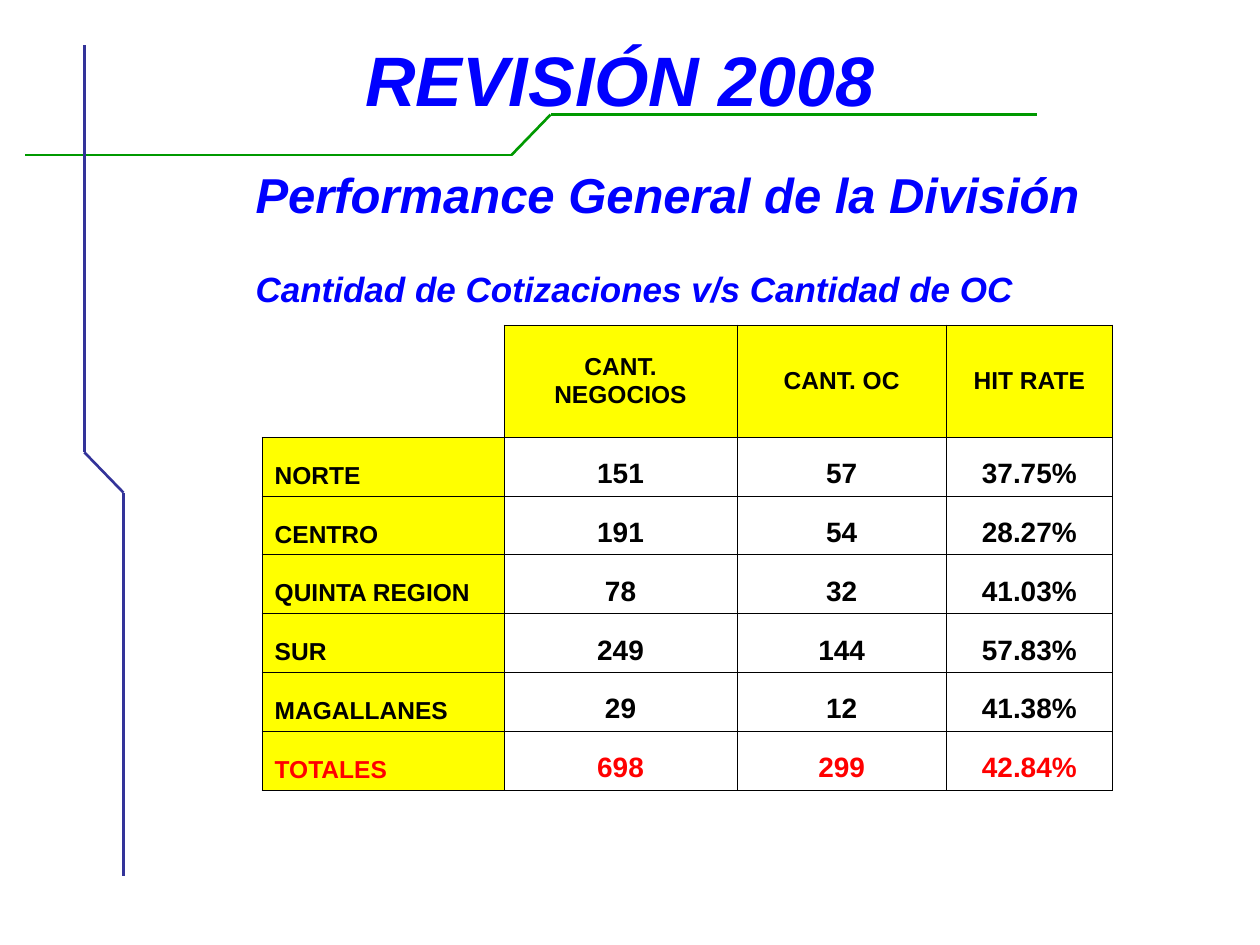
from itertools import pairwise

from lxml import etree
from pptx import Presentation
from pptx.dml.color import RGBColor
from pptx.enum.shapes import MSO_CONNECTOR
from pptx.enum.text import MSO_ANCHOR, PP_ALIGN
from pptx.oxml.ns import qn
from pptx.util import Inches, Pt

STRAIGHT = MSO_CONNECTOR.STRAIGHT
TOP, MIDDLE, BOTTOM = MSO_ANCHOR.TOP, MSO_ANCHOR.MIDDLE, MSO_ANCHOR.BOTTOM
LEFT, CENTER = PP_ALIGN.LEFT, PP_ALIGN.CENTER

# Content
TITLE = "REVISIÓN 2008"
HEADING = "Performance General de la División"
SUBHEADING = "Cantidad de Cotizaciones v/s Cantidad de OC"
HIT_RATES = [
    ("", "CANT. NEGOCIOS", "CANT. OC", "HIT RATE"),
    ("NORTE", "151", "57", "37.75%"),
    ("CENTRO", "191", "54", "28.27%"),
    ("QUINTA REGION", "78", "32", "41.03%"),
    ("SUR", "249", "144", "57.83%"),
    ("MAGALLANES", "29", "12", "41.38%"),
    ("TOTALES", "698", "299", "42.84%"),
]

THEME = {
    "font": "Arial",
    "heading": "0000FF", "text": "000000", "total": "FF0000",
    "label_fill": "FFFF00", "border": "000000",
    "green": "009900", "indigo": "333399",
    "title_size": 40, "heading_size": 28, "subheading_size": 20,
    "label_size": 14, "value_size": 16,
    "rule_width": 1.5, "border_width": 0.45,
}

# Layout, in inches
RULES = [
    ("green", [(0.2, 1.23), (4.06, 1.23), (4.37, 0.91), (8.23, 0.91)]),
    ("indigo", [(0.67, 0.36), (0.67, 3.59), (0.98, 3.91), (0.98, 6.95)]),
]
TABLE_LEFT, TABLE_TOP, TABLE_HEIGHT = 2.08, 2.58, 3.69
COLUMN_WIDTHS = [1.92, 1.85, 1.66, 1.32]
HEADER_HEIGHT = 0.89


def add_run(paragraph, text, size, color, italic=False):
    run = paragraph.add_run()
    run.text = text
    font = run.font
    font.name, font.size = THEME["font"], Pt(size)
    font.bold, font.italic = True, italic
    font.color.rgb = RGBColor.from_string(THEME[color])


def add_headings(slide, box, lines, anchor, align, wrap, gap=0):
    frame = slide.shapes.add_textbox(*map(Inches, box)).text_frame
    frame.word_wrap, frame.vertical_anchor = wrap, anchor
    for i, (text, size) in enumerate(lines):
        paragraph = frame.add_paragraph() if i else frame.paragraphs[0]
        paragraph.alignment = align
        if i:
            paragraph.space_before = Pt(gap)
        add_run(paragraph, text, THEME[size], "heading", italic=True)


def add_rule(slide, color, points):
    for start, end in pairwise(points):
        segment = slide.shapes.add_connector(STRAIGHT, *map(Inches, start + end))
        segment.line.color.rgb = RGBColor.from_string(THEME[color])
        segment.line.width = Pt(THEME["rule_width"])
        etree.SubElement(segment._element.spPr, qn("a:effectLst"))


def set_borders(cell, visible):
    properties = cell._tc.get_or_add_tcPr()
    for side in "LRTB":
        line = etree.SubElement(properties, qn(f"a:ln{side}"),
                                w=str(int(Pt(THEME["border_width"]))))
        if side in visible:
            fill = etree.SubElement(line, qn("a:solidFill"))
            etree.SubElement(fill, qn("a:srgbClr"), val=THEME["border"])
        else:
            etree.SubElement(line, qn("a:noFill"))


def add_hit_rate_table(slide):
    row_count = len(HIT_RATES)
    table = slide.shapes.add_table(
        row_count, len(COLUMN_WIDTHS), Inches(TABLE_LEFT), Inches(TABLE_TOP),
        Inches(sum(COLUMN_WIDTHS)), Inches(TABLE_HEIGHT)).table
    table.first_row = table.horz_banding = False
    for column, width in zip(table.columns, COLUMN_WIDTHS):
        column.width = Inches(width)
    body_height = (TABLE_HEIGHT - HEADER_HEIGHT) / (row_count - 1)
    for r, values in enumerate(HIT_RATES):
        table.rows[r].height = Inches(body_height if r else HEADER_HEIGHT)
        for c, value in enumerate(values):
            cell = table.cell(r, c)
            is_label = r == 0 or c == 0
            set_borders(cell, "LRTB" if value else "RB")
            cell.vertical_anchor = BOTTOM if r else MIDDLE
            if not (is_label and value):
                cell.fill.background()
            else:
                cell.fill.solid()
                cell.fill.fore_color.rgb = RGBColor.from_string(THEME["label_fill"])
            if value:
                paragraph = cell.text_frame.paragraphs[0]
                paragraph.alignment = CENTER if c else LEFT
                add_run(paragraph, value,
                        THEME["label_size" if is_label else "value_size"],
                        "total" if r == row_count - 1 else "text")


def main():
    deck = Presentation()
    deck.slide_width, deck.slide_height = Inches(10), Inches(7.5)
    slide = deck.slides.add_slide(deck.slide_layouts[6])

    # Decorative rules
    for color, points in RULES:
        add_rule(slide, color, points)

    # Title and headings
    add_headings(slide, (0.42, 0, 9, 1.25), [(TITLE, "title_size")],
                 MIDDLE, CENTER, wrap=True)
    add_headings(slide, (1.93, 1.26, 6.74, 1.57),
                 [(HEADING, "heading_size"), (SUBHEADING, "subheading_size")],
                 TOP, LEFT, wrap=False, gap=25)

    # Results by region
    add_hit_rate_table(slide)
    deck.save("out.pptx")


if __name__ == "__main__":
    main()
